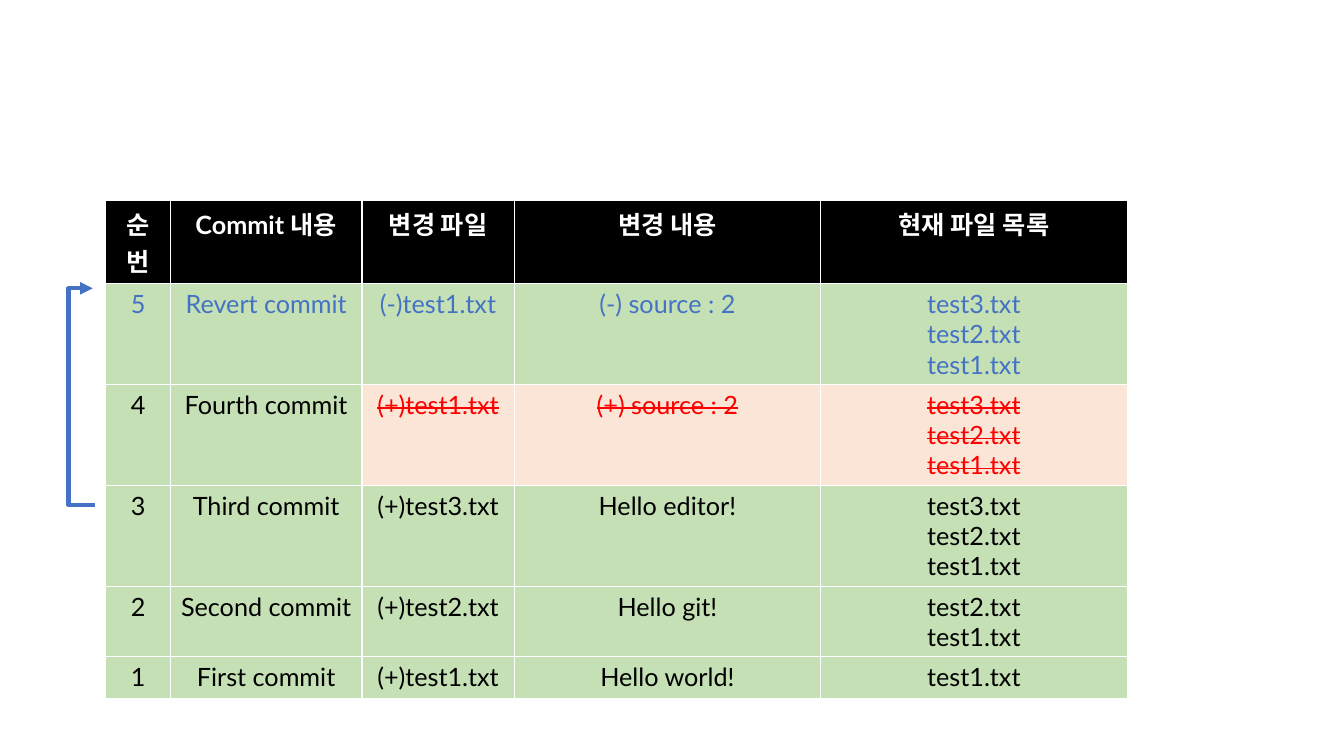
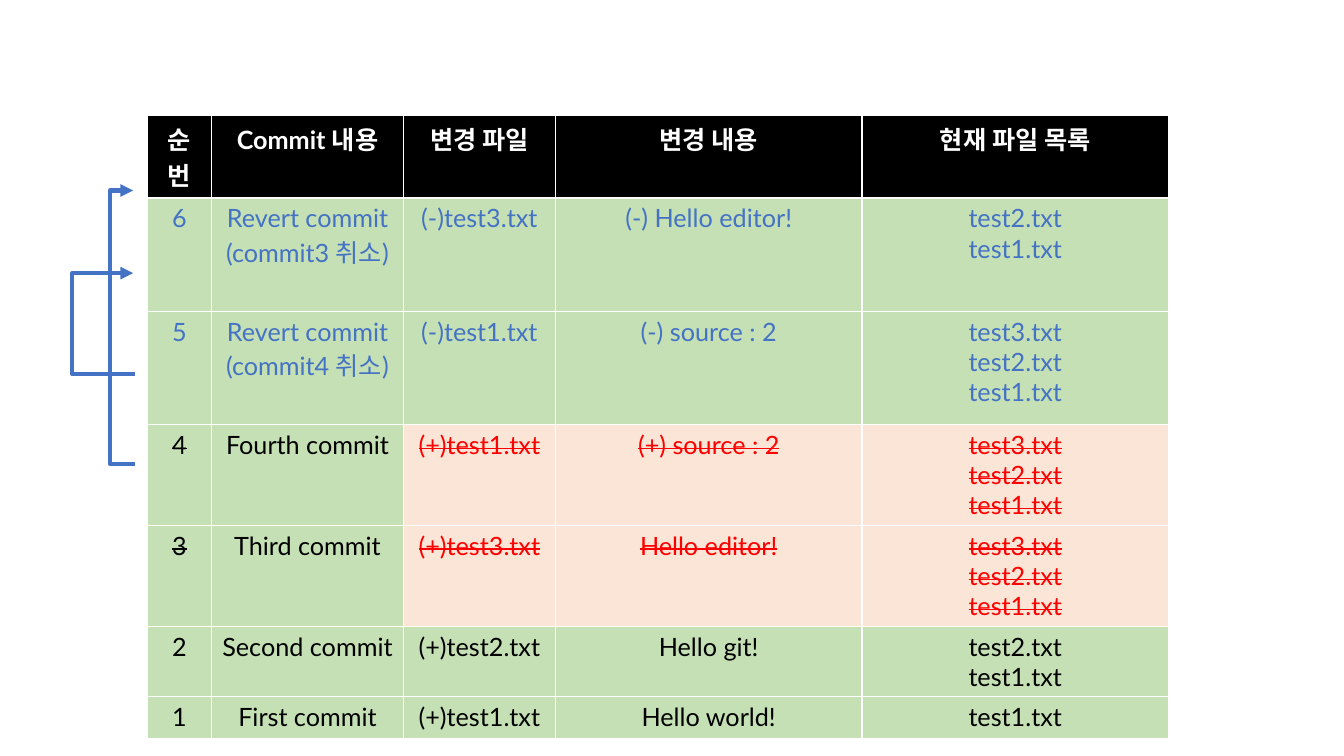
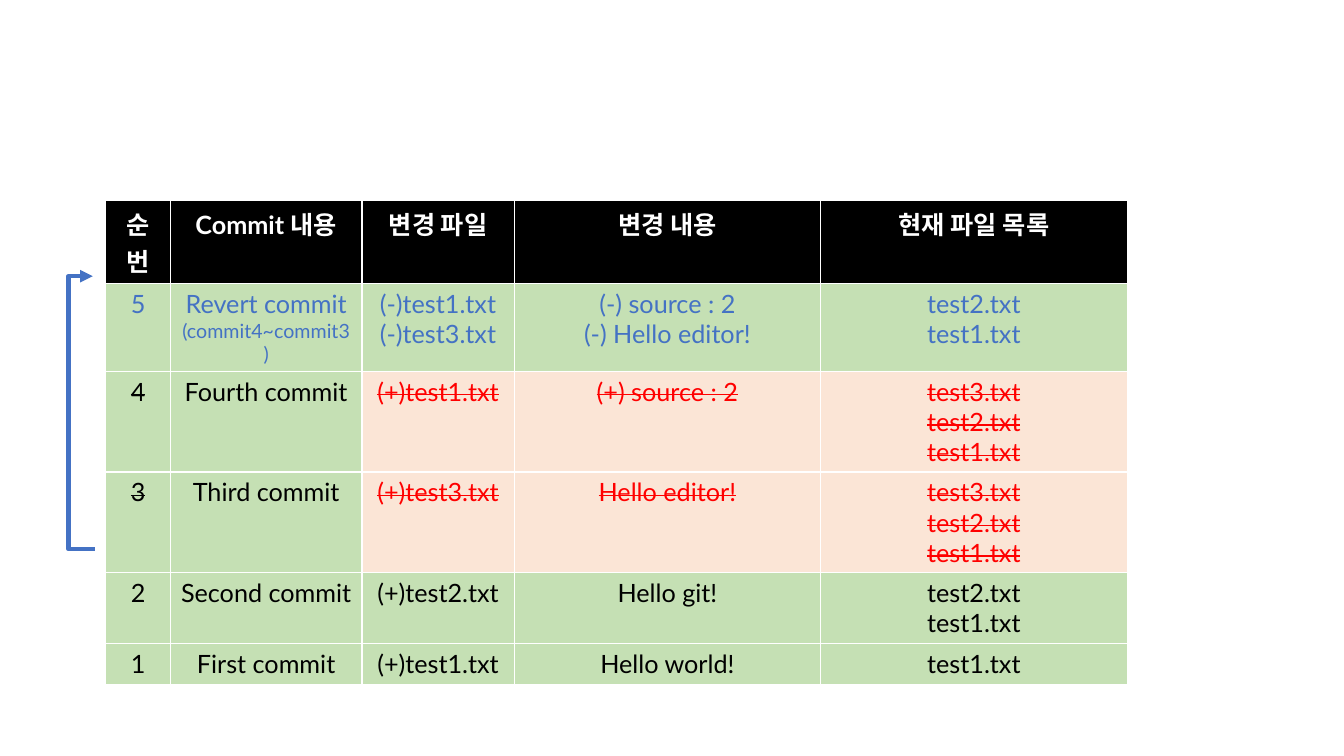
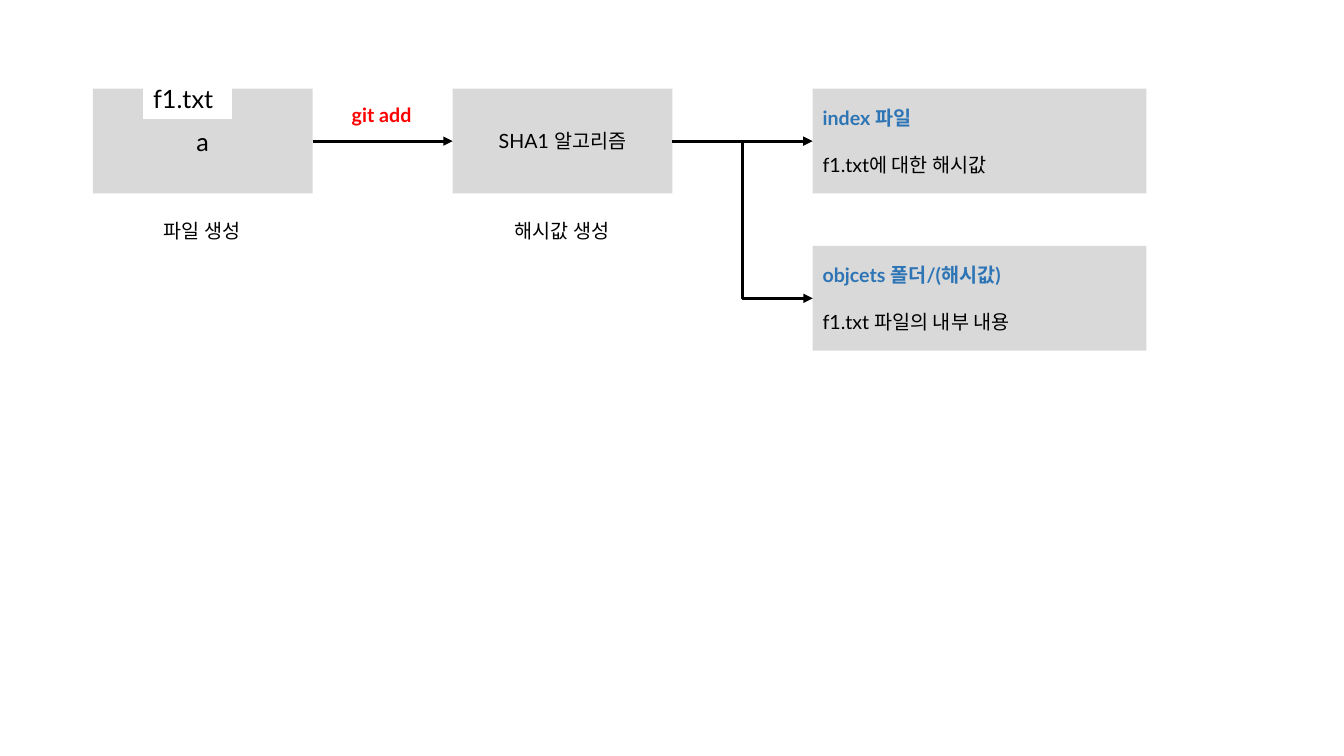
"""Build four slides on reverting commits and on what git add stores."""
import pptx
import pptx.dml.color
import pptx.enum.shapes
import pptx.enum.text
import pptx.oxml
import pptx.oxml.ns
import pptx.util
import lxml.etree

Inches = pptx.util.Inches
Pt = pptx.util.Pt
RGBColor = pptx.dml.color.RGBColor
CONNECTOR = pptx.enum.shapes.MSO_CONNECTOR
ALIGN = pptx.enum.text.PP_ALIGN
qn = pptx.oxml.ns.qn

BLACK = RGBColor(0x00, 0x00, 0x00)
WHITE = RGBColor(0xFF, 0xFF, 0xFF)
BLUE = RGBColor(0x44, 0x72, 0xC4)
DEEP_BLUE = RGBColor(0x2E, 0x75, 0xB6)
RED = RGBColor(0xFF, 0x00, 0x00)
GREEN = RGBColor(0xC5, 0xE0, 0xB4)
PEACH = RGBColor(0xFB, 0xE5, 0xD6)
GRAY = RGBColor(0xD9, 0xD9, 0xD9)
FONT = "Lato"


def write(tf, lines, color, size=18, bold=False, strike=False, align=ALIGN.CENTER):
    """Fill a text frame, one paragraph a line; a line may be (text, own format)."""
    for i, line in enumerate(lines):
        text, own = line if isinstance(line, tuple) else (line, {})
        p = tf.paragraphs[0] if i == 0 else tf.add_paragraph()
        p.alignment = align
        r = p.add_run()
        r.text = text
        fmt = {"name": FONT, "size": Pt(size), "bold": bold, **own}
        r.font.color.rgb = fmt.pop("color", color)
        for key, value in fmt.items():
            setattr(r.font, key, value)
        if strike:
            r.font._element.set("strike", "sngStrike")


def add_arrow(s, kind, ends, color, width):
    """Add a connector with a triangle at its end and no shadow."""
    c = s.shapes.add_connector(kind, *[Inches(v) for v in ends])
    c.line.color.rgb = color
    c.line.width = Pt(width)
    lxml.etree.SubElement(c.line._get_or_add_ln(), qn("a:tailEnd"), type="triangle")
    lxml.etree.SubElement(c._element.spPr, qn("a:effectLst"))
    return c


prs = pptx.Presentation()
prs.slide_width = Inches(13.33)
prs.slide_height = Inches(7.5)
blank = prs.slide_layouts[6]

COLUMNS = [0.64, 1.9, 1.51, 3.04, 3.04]
ROW_HEIGHT = 0.41
HEADER = ["순번", "Commit 내용", "변경 파일", "변경 내용", "현재 파일 목록"]
ADDED = (GREEN, {"color": BLUE})
KEPT = (GREEN, {"color": BLACK})
STRUCK = (GREEN, {"color": BLACK, "strike": True})
UNDONE = (PEACH, {"color": RED, "strike": True})
HEAD = (BLACK, {"color": WHITE, "bold": True})
STATES = {
    "head": [HEAD] * 5,
    "added": [ADDED] * 5,
    "kept": [KEPT] * 5,
    "undone": [KEPT] * 2 + [UNDONE] * 3,
    "struck": [STRUCK, KEPT] + [UNDONE] * 3,
}

FIRST = ["1", "First commit", "(+)test1.txt", "Hello world!", "test1.txt"]
SECOND = ["2", "Second commit", "(+)test2.txt", "Hello git!", "test2.txt\ntest1.txt"]
THIRD = ["3", "Third commit", "(+)test3.txt", "Hello editor!", "test3.txt\ntest2.txt\ntest1.txt"]
FOURTH = ["4", "Fourth commit", "(+)test1.txt", "(+) source : 2", "test3.txt\ntest2.txt\ntest1.txt"]
BASE = [("kept", SECOND), ("kept", FIRST)]

histories = [
    {
        "at": (1.05, 1.99), "height": 4.51,
        "rows": [
            ("added", ["5", "Revert commit", "(-)test1.txt", "(-) source : 2",
                       "test3.txt\ntest2.txt\ntest1.txt"]),
            ("undone", FOURTH), ("kept", THIRD), *BASE,
        ],
        "arrows": [(0.92, 2.86, 5.01, 0.68)],
    },
    {
        "at": (1.46, 1.14), "height": 5.21,
        "rows": [
            ("added", ["6", "Revert commit\n(commit3 취소)", "(-)test3.txt",
                       "(-) Hello editor!", "test2.txt\ntest1.txt"]),
            ("added", ["5", "Revert commit\n(commit4 취소)", "(-)test1.txt",
                       "(-) source : 2", "test3.txt\ntest2.txt\ntest1.txt"]),
            ("struck", FOURTH), ("struck", THIRD), *BASE,
        ],
        "arrows": [(1.32, 1.89, 4.6, 1.09), (1.32, 2.71, 3.71, 0.72)],
    },
    {
        "at": (1.05, 1.99), "height": 4.21,
        "rows": [
            ("added", ["5", "Revert commit\n(commit4~commit3)", "(-)test1.txt\n(-)test3.txt",
                       "(-) source : 2\n(-) Hello editor!", "test2.txt\ntest1.txt"]),
            ("struck", FOURTH), ("struck", THIRD), *BASE,
        ],
        "arrows": [(0.92, 2.74, 5.45, 0.68)],
    },
]
SMALL_LINES = {"(commit4~commit3)": {"size": Pt(14)}}
ARROW_WIDTH = 0.02

for history in histories:
    s = prs.slides.add_slide(blank)
    rows = [("head", HEADER)] + history["rows"]
    left, top = history["at"]
    frame = s.shapes.add_table(len(rows), len(COLUMNS), Inches(left), Inches(top),
                               Inches(sum(COLUMNS)), Inches(ROW_HEIGHT * len(rows)))
    table = frame.table
    for column, width in zip(table.columns, COLUMNS):
        column.width = Inches(width)
    for row, (state, texts) in zip(table.rows, rows):
        row.height = Inches(ROW_HEIGHT)
        for cell, text, (fill, fmt) in zip(row.cells, texts, STATES[state]):
            cell.fill.solid()
            cell.fill.fore_color.rgb = fill
            lines = [(line, SMALL_LINES.get(line, {})) for line in text.split("\n")]
            write(cell.text_frame, lines, **fmt)
    frame.height = Inches(history["height"])

    for x, y_to, y_from, x_bend in history["arrows"]:
        c = add_arrow(s, CONNECTOR.ELBOW, (x, y_to, x + ARROW_WIDTH, y_from), BLUE, 3)
        c._element.spPr.find(qn("a:xfrm")).set("rot", "10800000")
        guides = c._element.spPr.find(qn("a:prstGeom")).get_or_add_avLst()
        bend = round((x + ARROW_WIDTH - x_bend) / ARROW_WIDTH * 100000)
        lxml.etree.SubElement(guides, qn("a:gd"), name="adj1", fmla=f"val {bend}")

s = prs.slides.add_slide(blank)
TITLE = {"color": DEEP_BLUE, "bold": True}
BOX_HEIGHT = 1.04
boxes = {}
for name, left, top, width, lines, size, align in [
    ("file", 0.92, 0.88, 2.18, ["a"], 18, ALIGN.CENTER),
    ("hash", 4.49, 0.88, 2.18, ["SHA1 알고리즘"], 14, ALIGN.CENTER),
    ("index", 8.06, 0.88, 3.31, [("index 파일", TITLE), "f1.txt에 대한 해시값"], 14, ALIGN.LEFT),
    ("objects", 8.06, 2.44, 3.31, [("objcets 폴더/(해시값)", TITLE), "f1.txt 파일의 내부 내용"],
     14, ALIGN.LEFT),
]:
    sp = s.shapes.add_shape(pptx.enum.shapes.MSO_SHAPE.RECTANGLE, Inches(left), Inches(top),
                            Inches(width), Inches(BOX_HEIGHT))
    sp.shadow.inherit = False
    sp.fill.solid()
    sp.fill.fore_color.rgb = GRAY
    sp.line.fill.background()
    sp.text_frame.vertical_anchor = pptx.enum.text.MSO_ANCHOR.MIDDLE
    write(sp.text_frame, lines, BLACK, size, align=align)
    for p in sp.text_frame.paragraphs[1:]:
        p.space_before = Pt(17)
    boxes[name] = sp

for start, end, kind in [
    ("file", "hash", CONNECTOR.STRAIGHT),
    ("hash", "index", CONNECTOR.STRAIGHT),
    ("hash", "objects", CONNECTOR.ELBOW),
]:
    c = add_arrow(s, kind, (0, 0, 1, 1), BLACK, 2.25)
    c.begin_connect(boxes[start], 3)
    c.end_connect(boxes[end], 1)

for text, left, top, width, height, fmt in [
    ("f1.txt", 1.42, 0.78, 0.88, 0.4, {"color": BLACK, "align": ALIGN.LEFT}),
    ("파일 생성", 1.32, 2.12, 1.37, 0.34, {"color": BLACK, "size": 14}),
    ("해시값 생성", 4.89, 2.12, 1.37, 0.34, {"color": BLACK, "size": 14}),
    ("git add", 3.1, 0.97, 1.37, 0.34, {"color": RED, "size": 14, "bold": True}),
]:
    sp = s.shapes.add_textbox(Inches(left), Inches(top), Inches(width), Inches(height))
    tf = sp.text_frame
    tf.word_wrap = True
    tf.auto_size = pptx.enum.text.MSO_AUTO_SIZE.SHAPE_TO_FIT_TEXT
    write(tf, [text], **fmt)
    if text == "f1.txt":
        sp.fill.solid()
        sp.fill.fore_color.rgb = WHITE

prs.save("out.pptx")
